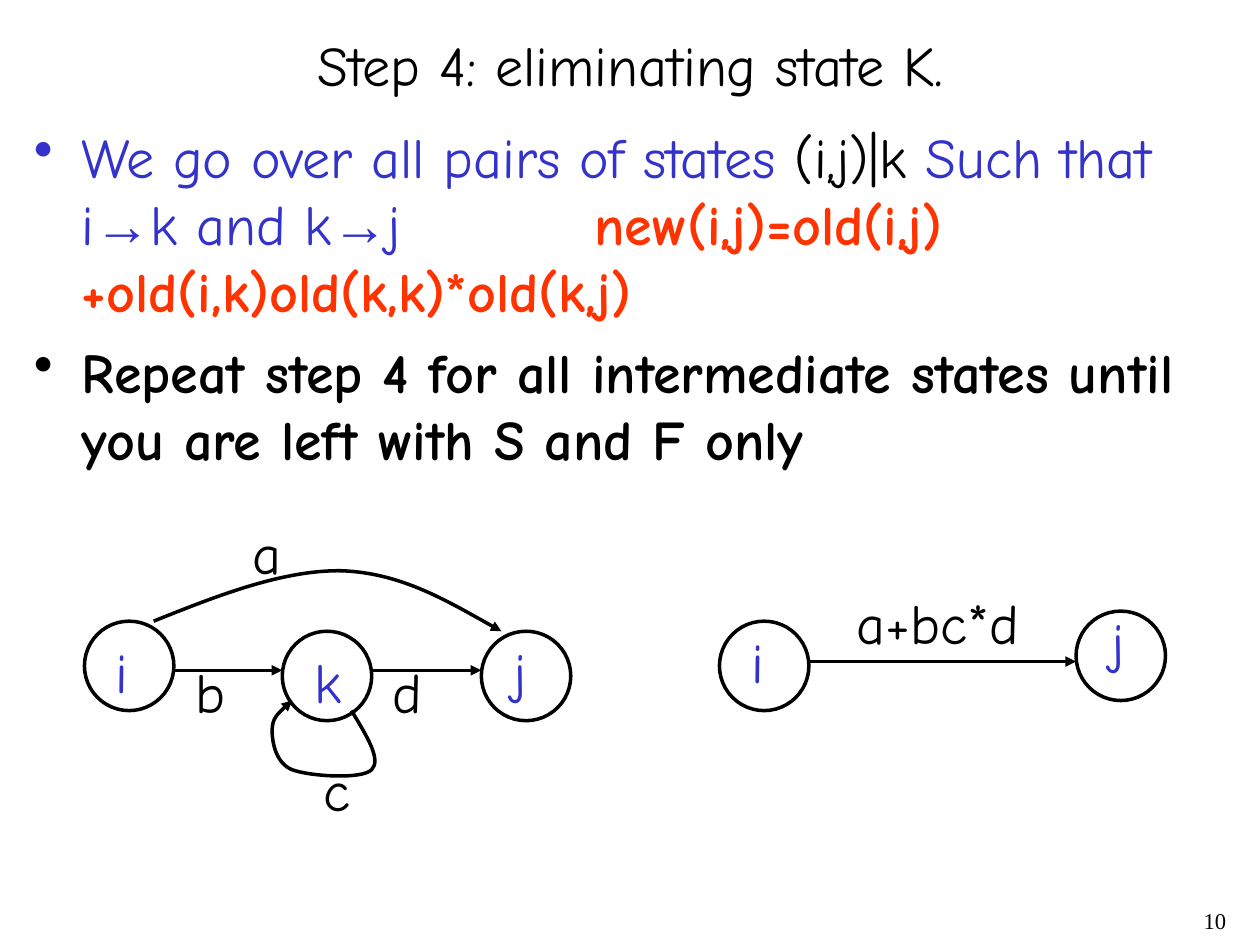
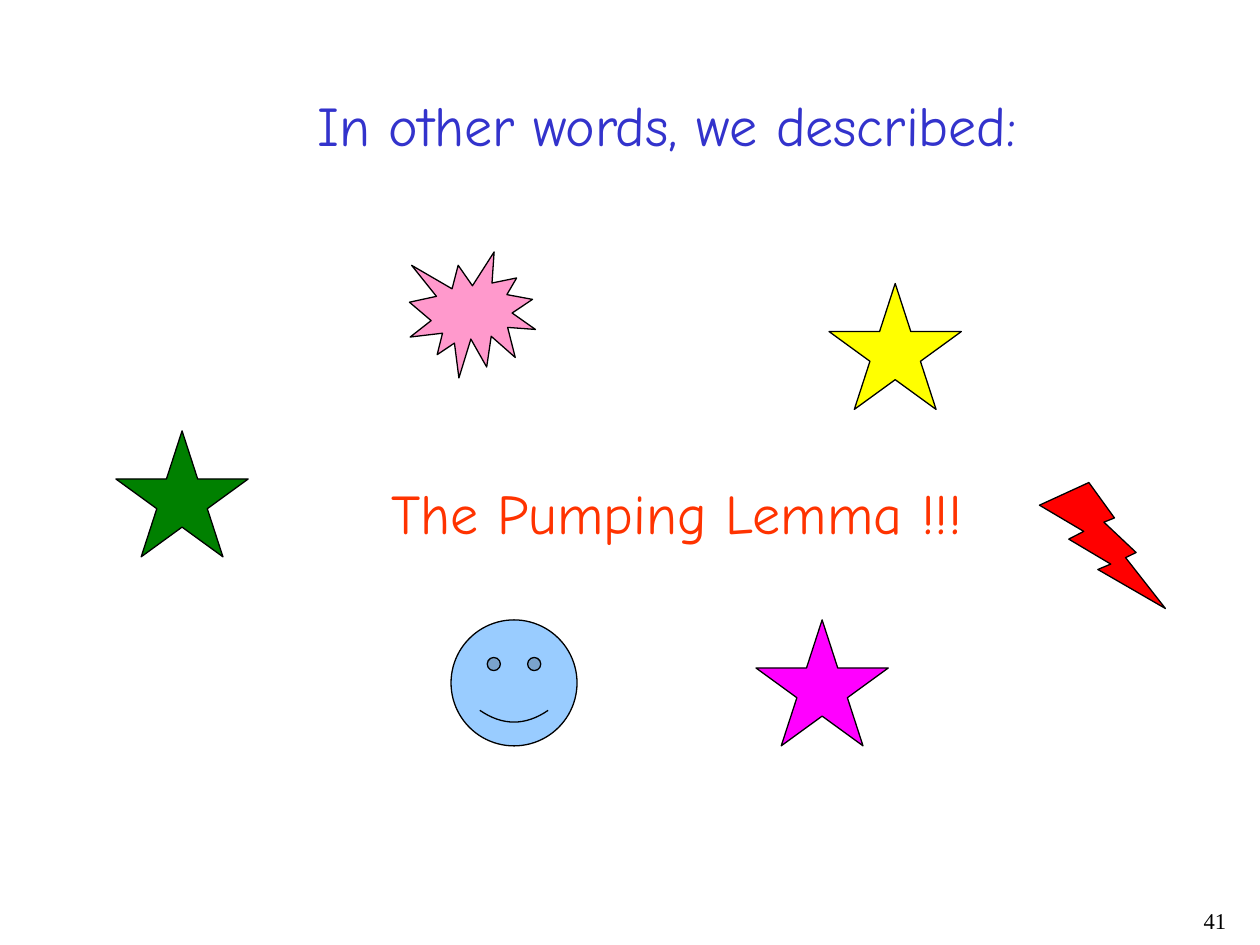
from lxml import etree
from pptx import Presentation
from pptx.dml.color import RGBColor
from pptx.enum import shapes, text
from pptx.oxml import ns
from pptx.util import Inches, Pt

COLORS = {
    "black": "000000", "blue": "3333CC", "orange": "FF3300",
    "yellow": "FFFF00", "green": "008000", "magenta": "FF00FF",
    "pink": "FF99CC", "sky": "99CCFF", "red": "FF0000",
}
HAND_FONT, ARROW_FONT, NUMBER_FONT = "Comic Neue", "Arial", "Times New Roman"
TEXT_SIZE = 32
STATE_SIZE = 0.71
PRESET = shapes.MSO_SHAPE


def rgb(color):
    """Look up a named colour."""
    return RGBColor.from_string(COLORS[color])


def add_child(parent, tag, **attributes):
    """Append a DrawingML element to its parent."""
    return etree.SubElement(parent, ns.qn(tag), attributes)


def format_span(span, color, font=HAND_FONT, size=TEXT_SIZE, bold=False):
    """Apply font, size, weight and colour to a run."""
    span.font.name = font
    span.font.size = Pt(size)
    span.font.bold = bold
    span.font.color.rgb = rgb(color)


def add_box(page, left, top, width, height, wrap=True):
    """Add an empty text box and return its frame."""
    box = page.shapes.add_textbox(*map(Inches, (left, top, width, height)))
    box.text_frame.word_wrap = wrap
    return box.text_frame


def add_label(page, words, left, top, width, color="black"):
    """Add one unwrapped line of handwriting."""
    frame = add_box(page, left, top, width, 0.64, wrap=False)
    frame.text = words
    para = frame.paragraphs[0]
    para.space_before = Pt(8)
    format_span(para.runs[0], color)


def add_title(page, words):
    """Add the centred slide title."""
    frame = add_box(page, 0.17, 0.17, 9.67, 0.67)
    frame.vertical_anchor = text.MSO_ANCHOR.MIDDLE
    frame.text = words
    para = frame.paragraphs[0]
    para.alignment = text.PP_ALIGN.CENTER
    format_span(para.runs[0], "black")


def add_page_number(page, number):
    """Add the page number at the lower right."""
    frame = add_box(page, 7.75, 7.17, 2.08, 0.33)
    frame.text = str(number)
    para = frame.paragraphs[0]
    para.alignment = text.PP_ALIGN.RIGHT
    para.line_spacing = 0.9
    format_span(para.runs[0], "black", NUMBER_FONT, 12.9)


def add_bullet(para, spans, tab=None):
    """Fill a bulleted paragraph with (words, colour, font, bold) spans."""
    para.space_before = Pt(8)
    props = para._p.get_or_add_pPr()
    props.set("marL", str(Inches(0.38)))
    props.set("indent", str(-Inches(0.38)))
    add_child(add_child(props, "a:buClr"), "a:srgbClr", val=COLORS[spans[0][1]])
    add_child(props, "a:buChar", char="•")
    if tab:
        add_child(add_child(props, "a:tabLst"), "a:tab", pos=str(Inches(tab)), algn="l")
    for words, color, font, bold in spans:
        span = para.add_run()
        span.text = words
        format_span(span, color, font, bold=bold)


def add_figure(page, preset, left, top, width, height, fill=None, line=0.75):
    """Add a black-outlined preset shape."""
    figure = page.shapes.add_shape(preset, *map(Inches, (left, top, width, height)))
    figure.shadow.inherit = False
    if fill:
        figure.fill.solid()
        figure.fill.fore_color.rgb = rgb(fill)
    else:
        figure.fill.background()
    figure.line.color.rgb = rgb("black")
    figure.line.width = Pt(line)
    return figure


def add_state(page, left, top):
    """Add an automaton state circle."""
    add_figure(page, PRESET.OVAL, left, top, STATE_SIZE, STATE_SIZE, line=2)


def style_arrow(arrow):
    """Draw a black line with a triangle at its end."""
    arrow.line.color.rgb = rgb("black")
    arrow.line.width = Pt(2)
    add_child(arrow.line._get_or_add_ln(), "a:tailEnd", type="triangle")


def add_arrow(page, start, end, y):
    """Add a horizontal transition arrow."""
    arrow = page.shapes.add_connector(
        shapes.MSO_CONNECTOR.STRAIGHT, *map(Inches, (start, y, end, y)))
    style_arrow(arrow)
    add_child(arrow._element.spPr, "a:effectLst")


def add_curved_arrow(page, start, controls):
    """Add an arrow along cubic curves, three control points for each."""
    builder = page.shapes.build_freeform(*map(Inches, start), scale=1.0)
    builder.add_line_segments([tuple(map(Inches, point)) for point in controls], close=False)
    arrow = builder.convert_to_shape()
    arrow.shadow.inherit = False
    arrow.fill.background()
    style_arrow(arrow)
    segments = list(arrow._element.iter(ns.qn("a:lnTo")))
    outline = segments[0].getparent()
    for first in range(0, len(segments), 3):
        curve = add_child(outline, "a:cubicBezTo")
        for segment in segments[first:first + 3]:
            curve.append(segment[0])
            outline.remove(segment)


def add_elimination_rule(page):
    """Add the two bullets explaining the elimination step."""
    frame = add_box(page, 0.17, 0.92, 9.67, 3.15)
    add_bullet(frame.paragraphs[0], [
        ("We go over all pairs of states ", "blue", HAND_FONT, False),
        ("(i,j)|k", "black", HAND_FONT, False),
        (" Such that i", "blue", HAND_FONT, False),
        ("→", "blue", ARROW_FONT, False),
        ("k and k", "blue", HAND_FONT, False),
        ("→", "blue", ARROW_FONT, False),
        ("j\t", "blue", HAND_FONT, False),
        ("new(i,j)=old(i,j)+old(i,k)old(k,k)*old(k,j)", "orange", HAND_FONT, True),
    ], tab=4.45)
    add_bullet(frame.add_paragraph(), [
        ("Repeat step 4 for all intermediate states until you are left with S and F only",
         "black", HAND_FONT, True)])


def build_elimination(page):
    """Show the automaton before and after removing state k."""
    add_title(page, "Step 4: eliminating state K.")
    add_elimination_rule(page)
    for left, top in [(0.67, 4.93), (2.24, 5.01), (3.82, 5.01), (5.71, 4.93), (8.54, 4.85)]:
        add_state(page, left, top)
    for name, left, top, width in [
            ("i", 0.82, 5.01, 0.3), ("k", 2.4, 5.09, 0.44), ("j", 3.98, 5.01, 0.38),
            ("i", 5.87, 4.93, 0.3), ("j", 8.72, 4.77, 0.3)]:
        add_label(page, name, left, top, width, "blue")
    for start, end, y in [(1.38, 2.24, 5.32), (2.95, 3.82, 5.32), (6.42, 8.54, 5.25)]:
        add_arrow(page, start, end, y)
    add_curved_arrow(page, (1.22, 4.93), [
        (1.74, 4.72), (2.26, 4.52), (2.72, 4.53),
        (3.18, 4.55), (3.57, 4.78), (3.98, 5.01)])
    add_curved_arrow(page, (2.79, 5.64), [
        (2.91, 5.84), (3.03, 6.03), (2.95, 6.11),
        (2.87, 6.19), (2.45, 6.16), (2.32, 6.11),
        (2.19, 6.06), (2.16, 5.89), (2.16, 5.8),
        (2.16, 5.7), (2.24, 5.63), (2.32, 5.56)])
    for name, left, top, width in [
            ("a", 1.91, 4.07, 0.43), ("b", 1.45, 5.17, 0.44), ("c", 2.47, 5.95, 0.41),
            ("d", 3.02, 5.17, 0.43), ("a+bc*d", 6.7, 4.62, 1.49)]:
        add_label(page, name, left, top, width)


def build_pumping_lemma(page):
    """Announce the pumping lemma among festive shapes."""
    add_label(page, "In other words, we described:", 2.42, 0.67, 5.79, "blue")
    for left, top, fill in [(6.58, 2.25, "yellow"), (0.92, 3.42, "green"), (6, 4.92, "magenta")]:
        add_figure(page, PRESET.STAR_5_POINT, left, top, 1.05, 1, fill)
    add_figure(page, PRESET.EXPLOSION1, 3.25, 2, 1, 1, "pink")
    smiley = add_figure(page, PRESET.SMILEY_FACE, 3.58, 4.92, 1, 1, "sky")
    smiley.adjustments[0] = 0.05
    smiley.adjustments[0] = 0.09
    add_figure(page, PRESET.LIGHTNING_BOLT, 8.25, 3.83, 1, 1, "red")
    add_label(page, "The Pumping Lemma !!!", 3.01, 3.75, 4.74, "orange")


def main():
    """Build and save the deck."""
    deck = Presentation()
    deck.slide_width, deck.slide_height = Inches(10), Inches(7.5)
    for build, number in [(build_elimination, 10), (build_pumping_lemma, 41)]:
        page = deck.slides.add_slide(deck.slide_layouts[6])
        add_page_number(page, number)
        build(page)
    deck.save("out.pptx")


if __name__ == "__main__":
    main()
